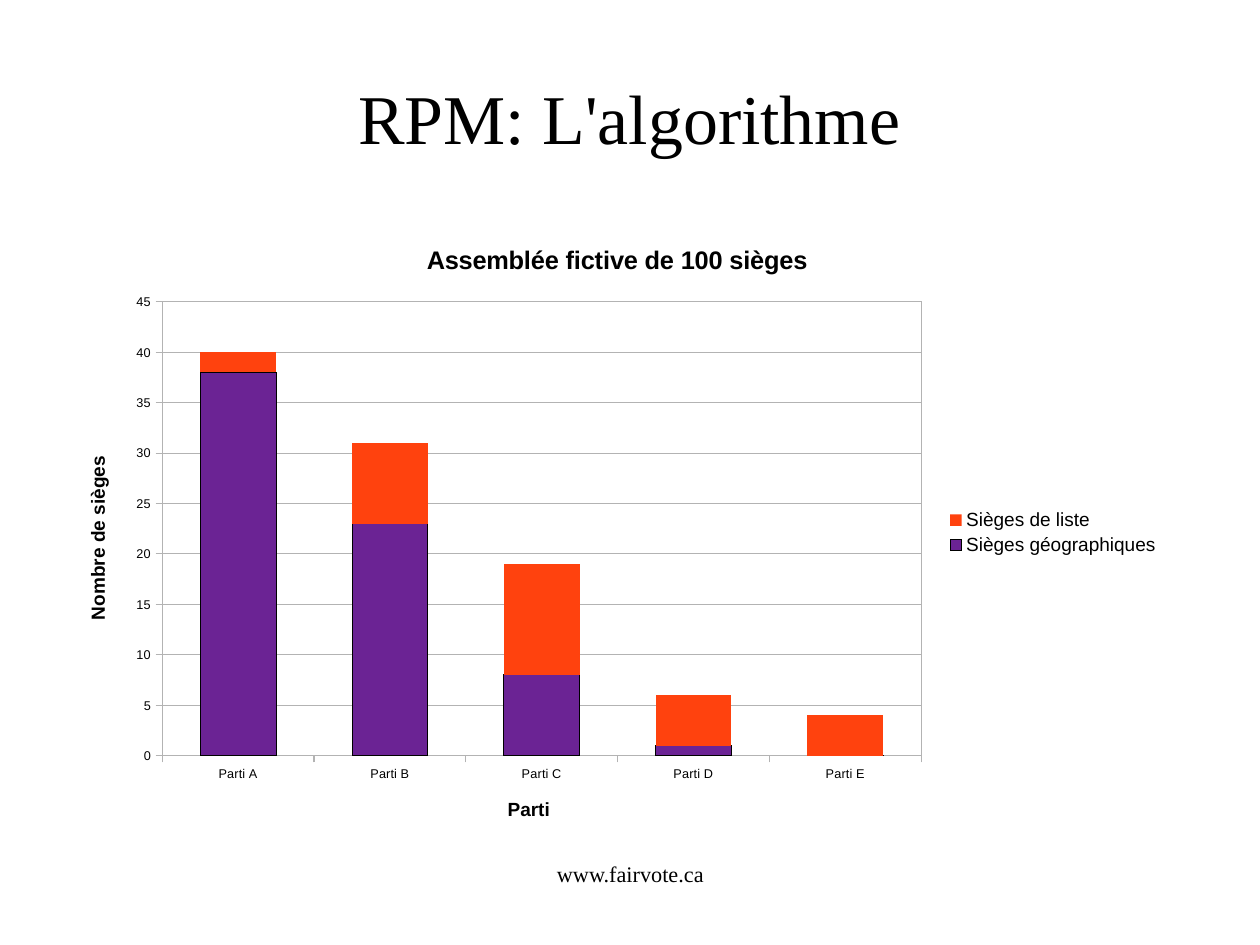
from pptx import Presentation
from pptx.chart.data import CategoryChartData
from pptx.dml.color import RGBColor
from pptx.enum.chart import XL_CHART_TYPE as ChartType
from pptx.enum.chart import XL_LEGEND_POSITION as LegendPosition
from pptx.enum.chart import XL_TICK_MARK as TickMark
from pptx.enum.text import MSO_ANCHOR as Anchor, PP_ALIGN as Align
from pptx.oxml import parse_xml
from pptx.oxml.ns import nsdecls
from pptx.util import Inches, Pt

BLACK = RGBColor(0x00, 0x00, 0x00)
GREY = RGBColor(0xB3, 0xB3, 0xB3)
PURPLE = RGBColor(0x6B, 0x23, 0x94)
ORANGE = RGBColor(0xFF, 0x42, 0x0E)

CM_PER_INCH = 2.54
PARTIES = ["Parti A", "Parti B", "Parti C", "Parti D", "Parti E"]
SEATS = {
    "Sièges géographiques": [38, 23, 8, 1, 0],
    "Sièges de liste": [2, 8, 11, 5, 4],
}


def set_font(font, size, name="Arial", bold=False):
    font.name = name
    font.size = Pt(size)
    font.bold = bold
    font.color.rgb = BLACK


def write(frame, text, size, name="Arial", bold=False, align=Align.CENTER):
    paragraph = frame.paragraphs[0]
    paragraph.alignment = align
    run = paragraph.add_run()
    run.text = text
    set_font(run.font, size, name, bold)


def add_line_of_text(slide, box, text, size, anchor):
    frame = slide.shapes.add_textbox(*map(Inches, box)).text_frame
    frame.word_wrap = True
    frame.vertical_anchor = anchor
    frame.margin_left = frame.margin_right = 0
    frame.margin_top = frame.margin_bottom = 0
    write(frame, text, size, name="Times New Roman")


def frame_plot(chart, x, y, w, h):
    """Place the plot by percentages of the chart and outline it in grey."""
    plot_area = chart.element.chart.plotArea
    for layout in plot_area.xpath("c:layout"):
        plot_area.remove(layout)
    sizes = "".join(f'<c:{tag} val="{percent / 100:.4f}"/>'
                    for tag, percent in zip("xywh", (x, y, w, h)))
    plot_area.insert(0, parse_xml(
        f'<c:layout {nsdecls("c")}><c:manualLayout>'
        '<c:layoutTarget val="inner"/><c:xMode val="edge"/>'
        f'<c:yMode val="edge"/>{sizes}</c:manualLayout></c:layout>'))
    plot_area.append(parse_xml(
        f'<c:spPr {nsdecls("c", "a")}><a:noFill/><a:ln w="0"><a:solidFill>'
        f'<a:srgbClr val="{GREY}"/></a:solidFill></a:ln></c:spPr>'))


def style_axis(axis, title):
    write(axis.axis_title.text_frame, title, 12, bold=True)
    set_font(axis.tick_labels.font, 8)
    axis.major_tick_mark = TickMark.OUTSIDE
    axis.minor_tick_mark = TickMark.NONE
    axis.format.line.color.rgb = GREY
    axis.format.line.width = 0


def add_seat_chart(slide, box):
    data = CategoryChartData()
    data.categories = PARTIES
    for name, seats in SEATS.items():
        data.add_series(name, seats)
    chart = slide.shapes.add_chart(
        ChartType.COLUMN_STACKED, *map(Inches, box), data).chart
    set_font(chart.font, 10)
    write(chart.chart_title.text_frame, "Assemblée fictive de 100 sièges",
          16, bold=True)

    # Columns
    columns = chart.plots[0]
    columns.gap_width = 100
    columns.overlap = 100
    columns.vary_by_categories = False
    geographic, listed = columns.series
    for series, colour in ((geographic, PURPLE), (listed, ORANGE)):
        series.format.fill.solid()
        series.format.fill.fore_color.rgb = colour
    geographic.format.line.color.rgb = BLACK
    geographic.format.line.width = 0
    listed.format.line.fill.background()

    # Axes
    style_axis(chart.category_axis, "Parti")
    seat_axis = chart.value_axis
    style_axis(seat_axis, "Nombre de sièges")
    seat_axis.axis_title.element.xpath(".//a:bodyPr")[0].set("rot", "-5400000")
    seat_axis.maximum_scale = 45
    seat_axis.major_gridlines.format.line.color.rgb = GREY
    seat_axis.major_gridlines.format.line.width = 0

    # Legend and plot area
    chart.has_legend = True
    chart.legend.position = LegendPosition.RIGHT
    chart.legend.include_in_layout = False
    set_font(chart.legend.font, 12)
    frame_plot(chart, 8.97, 13.03, 68.45, 72.73)


def main():
    deck = Presentation()
    deck.slide_width = Inches(28 / CM_PER_INCH)
    deck.slide_height = Inches(21 / CM_PER_INCH)
    slide = deck.slides.add_slide(deck.slide_layouts[6])
    add_line_of_text(slide, (0.55, 0.33, 9.92, 1.38),
                     "RPM: L'algorithme", 44, Anchor.MIDDLE)
    add_seat_chart(slide, (0.55, 1.93, 9.7, 5.46))
    add_line_of_text(slide, (3.77, 7.53, 3.49, 0.57),
                     "www.fairvote.ca", 14, Anchor.TOP)
    deck.save("out.pptx")


if __name__ == "__main__":
    main()
